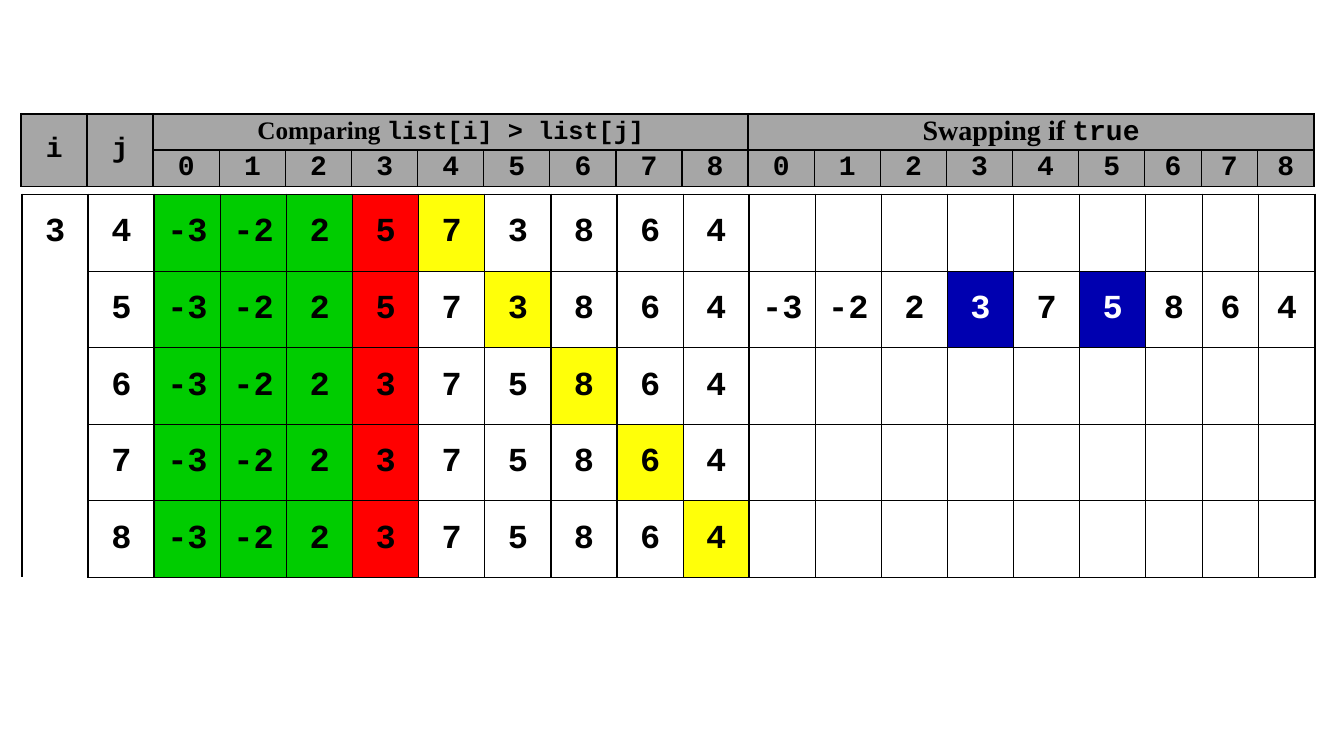
from lxml import etree
from pptx import Presentation
from pptx.dml.color import RGBColor
from pptx.enum.text import MSO_ANCHOR, PP_ALIGN
from pptx.oxml.ns import qn
from pptx.util import Inches, Pt

CENTER = PP_ALIGN.CENTER
MIDDLE = MSO_ANCHOR.MIDDLE
BLACK = RGBColor(0x00, 0x00, 0x00)
WHITE = RGBColor(0xFF, 0xFF, 0xFF)
GRAY = RGBColor(0xA6, 0xA6, 0xA6)
GREEN = RGBColor(0x00, 0xCC, 0x00)
RED = RGBColor(0xFF, 0x00, 0x00)
YELLOW = RGBColor(0xFF, 0xFF, 0x09)
BLUE = RGBColor(0x00, 0x00, 0xB0)
MONO, SERIF = "Courier New", "Times New Roman"

N = 9                               # list length
COLS = 2 + 2 * N                    # i, j, compared list, swapped list
COMPARE, SWAP = 2, 2 + N            # first column of each list
GROUP_EDGES = {0, 1, COMPARE, SWAP, COLS}
THIN, THICK = 1, 1.5
TABLE_W, NARROW = 12.83, 0.56
WIDE = (TABLE_W - 3 * NARROW) / (COLS - 3)


def add_grid(left, top, rows, row_h):
    """Add a plain table whose last three columns are narrower."""
    frame = s.shapes.add_table(rows, COLS, Inches(left), Inches(top),
                               Inches(TABLE_W), Inches(rows * row_h))
    table = frame.table
    table.first_row = table.horz_banding = False
    for c, col in enumerate(table.columns):
        col.width = Inches(NARROW if c >= COLS - 3 else WIDE)
    return table


def format_cell(cell, runs, size, color, fill, borders):
    """Fill a cell with (text, font) runs; borders are L, R, T, B widths."""
    cell.margin_left = cell.margin_right = Inches(0.07)
    cell.margin_top = cell.margin_bottom = 0
    cell.vertical_anchor = MIDDLE
    tcPr = cell._tc.get_or_add_tcPr()
    for side, width in zip("LRTB", borders):
        ln = etree.SubElement(tcPr, qn(f"a:ln{side}"), w=str(Pt(width)))
        if width:
            solid = etree.SubElement(ln, qn("a:solidFill"))
            etree.SubElement(solid, qn("a:srgbClr"), val=str(BLACK))
        else:
            etree.SubElement(ln, qn("a:noFill"))
    cell.fill.solid()
    cell.fill.fore_color.rgb = fill
    p = cell.text_frame.paragraphs[0]
    p.alignment = CENTER
    for text, font in runs:
        r = p.add_run()
        r.text = text
        r.font.name, r.font.size, r.font.bold = font, Pt(size), True
        r.font.color.rgb = color


prs = Presentation()
prs.slide_width, prs.slide_height = Inches(13.33), Inches(7.5)
s = prs.slides.add_slide(prs.slide_layouts[6])

# Header: titles above the list indexes
titles = {
    0: ([("i", MONO)], 20),
    1: ([("j", MONO)], 20),
    COMPARE: ([("Comparing ", SERIF), ("list[i] > list[j]", MONO)], 18),
    SWAP: ([("Swapping if ", SERIF), ("true", MONO)], 20),
}
header = add_grid(0.21, 1.13, 2, 0.36)
for c in (0, 1):
    header.cell(0, c).merge(header.cell(1, c))
for c in (COMPARE, SWAP):
    header.cell(0, c).merge(header.cell(0, c + N - 1))
for c in range(COLS):
    sides = [THICK if edge in GROUP_EDGES else THIN for edge in (c, c + 1)]
    runs, size = titles.get(c, ([], 20))
    format_cell(header.cell(0, c), runs, size, BLACK, GRAY, [THICK] * 4)
    index = [(str((c - COMPARE) % N), MONO)] if c >= COMPARE else []
    format_cell(header.cell(1, c), index, 20, BLACK, GRAY,
                sides + [THICK, THICK])

# Steps of the inner loop for i = 3: j, list before, list after a swap
I = 3
BEFORE_SWAP = ["-3", "-2", "2", "5", "7", "3", "8", "6", "4"]
AFTER_SWAP = ["-3", "-2", "2", "3", "7", "5", "8", "6", "4"]
NO_SWAP = [""] * N
steps = [
    (4, BEFORE_SWAP, NO_SWAP),
    (5, BEFORE_SWAP, AFTER_SWAP),
    (6, AFTER_SWAP, NO_SWAP),
    (7, AFTER_SWAP, NO_SWAP),
    (8, AFTER_SWAP, NO_SWAP),
]
trace = add_grid(0.22, 1.93, len(steps), 0.76)
for row, (j, compared, swapped) in enumerate(steps):
    trace.rows[row].height = Inches(0.76)
    values = [str(I) if row == 0 else "", str(j)] + compared + swapped
    # Sorted part, the compared pair and the swapped pair
    fills = {COMPARE + k: GREEN for k in range(I)}
    fills.update({COMPARE + I: RED, COMPARE + j: YELLOW})
    if swapped is AFTER_SWAP:
        fills.update({SWAP + I: BLUE, SWAP + j: BLUE})
    for c, value in enumerate(values):
        fill = fills.get(c, WHITE)
        sides = [THICK if edge in GROUP_EDGES else THIN for edge in (c, c + 1)]
        inner = THIN if c else 0
        borders = sides + [THICK if row == 0 else inner, inner]
        format_cell(trace.cell(row, c), [(value, MONO)] if value else [], 24,
                    WHITE if fill == BLUE else BLACK, fill, borders)

prs.save("out.pptx")
